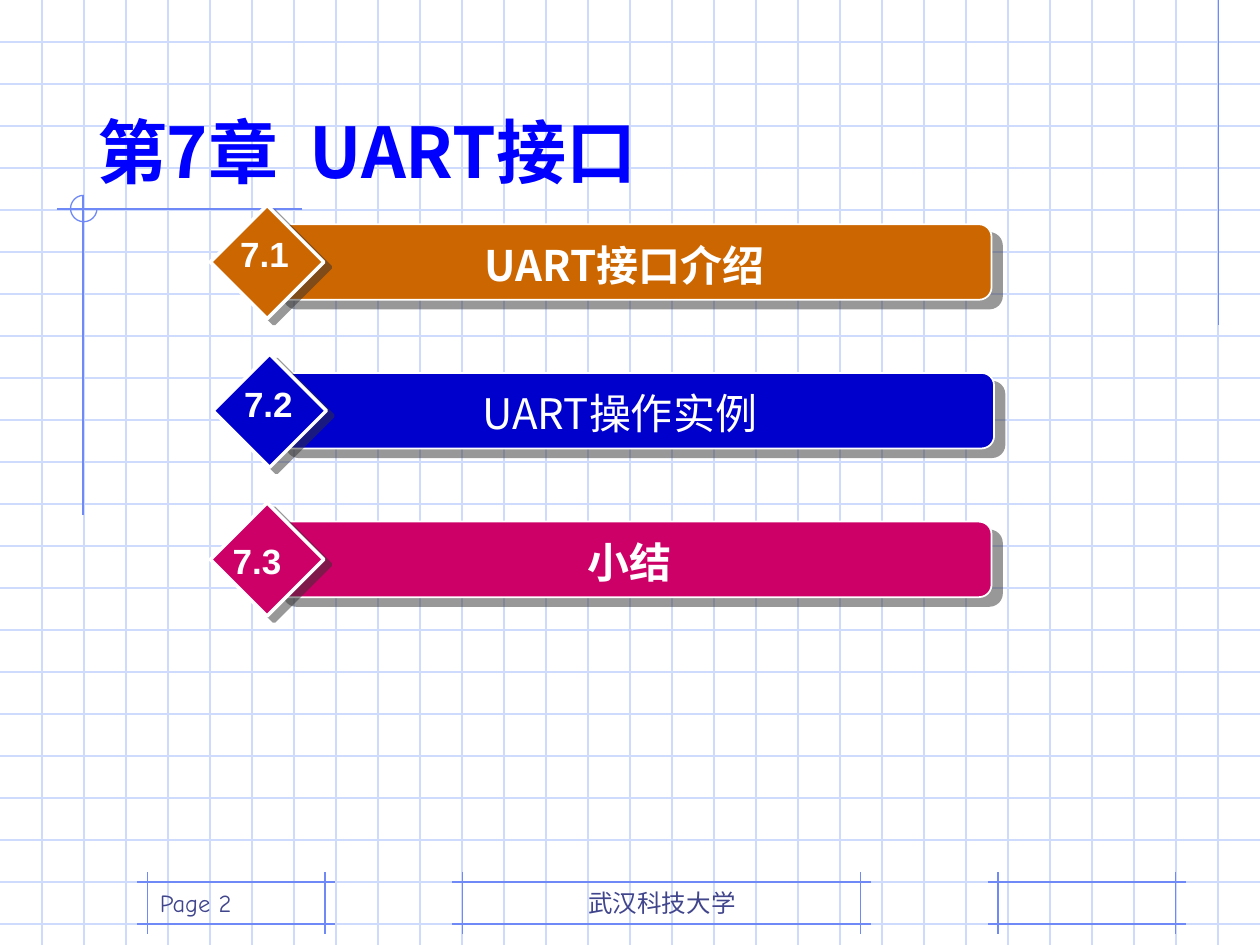
from lxml import etree
from pptx import Presentation
from pptx.dml.color import RGBColor
from pptx.enum.shapes import MSO_CONNECTOR, MSO_SHAPE
from pptx.enum.text import MSO_ANCHOR, MSO_AUTO_SIZE, PP_ALIGN
from pptx.oxml.ns import qn
from pptx.util import Emu, Inches, Pt

WHITE = RGBColor(0xFF, 0xFF, 0xFF)
GRID_BLUE = RGBColor(0xCF, 0xDB, 0xFD)
RULE_BLUE = RGBColor(0x6F, 0x89, 0xF7)
FOOTER_INK = RGBColor(0x40, 0x45, 0x8C)
TITLE_BLUE = RGBColor(0x00, 0x00, 0xFF)
ORANGE = RGBColor(0xCC, 0x66, 0x00)
NAVY = RGBColor(0x00, 0x00, 0xCC)
MAGENTA = RGBColor(0xCC, 0x00, 0x66)

CJK_FONT = "Noto Sans CJK JP"
WIDTH, HEIGHT = 10, 7.5
CELL = 1 / 3

# number, heading, bold, colour, bar left, bar top, heading left, number left and top
SECTIONS = [
    ("7.1", " UART接口介绍", True, ORANGE, 2.17, 1.78, 2.67, 1.81, 1.80),
    ("7.2", "UART操作实例", False, NAVY, 2.19, 2.96, 2.67, 1.84, 2.99),
    ("7.3", "小结", True, MAGENTA, 2.17, 4.14, 2.75, 1.75, 4.23),
]


def add_line(shapes, x1, y1, x2, y2, color):
    line = shapes.add_connector(MSO_CONNECTOR.STRAIGHT, Inches(x1), Inches(y1),
                                Inches(x2), Inches(y2))
    line.line.color.rgb = color
    line.line.width = Pt(0.75)
    etree.SubElement(line._element.spPr, qn("a:effectLst"))


def add_grid(shapes):
    for row in range(1, 23):
        add_line(shapes, 0, row * CELL, WIDTH, row * CELL, GRID_BLUE)
    for column in range(1, 30):
        add_line(shapes, column * CELL, 0, column * CELL, HEIGHT, GRID_BLUE)


def add_footer_frame(shapes, left, right):
    """Four rules that cross a little beyond the corners of a footer field."""
    top, bottom, overhang = 7, 7 + CELL, 0.08
    for y in (top, bottom):
        add_line(shapes, left - overhang, y, right + overhang, y, RULE_BLUE)
    for x in (left, right):
        add_line(shapes, x, top - overhang, x, bottom + overhang, RULE_BLUE)


def add_title_rules(shapes):
    add_line(shapes, 9.67, 0, 9.67, 2.58, RULE_BLUE)
    add_line(shapes, 2.4, 1.66, 0.45, 1.66, RULE_BLUE)
    add_line(shapes, 0.66, 1.55, 0.66, 4.09, RULE_BLUE)
    arc = shapes.add_shape(MSO_SHAPE.ARC, Inches(0.56), Inches(1.55),
                           Inches(0.21), Inches(0.21))
    arc.adjustments[0] = 0
    arc.adjustments[1] = 162  # 270 degrees
    arc.fill.background()
    arc.line.color.rgb = RULE_BLUE
    arc.line.width = Pt(0.75)
    arc.shadow.inherit = False


def write(shape, text, size, font, color, bold=False, align=PP_ALIGN.LEFT,
          anchor=MSO_ANCHOR.TOP, wrap=True):
    frame = shape.text_frame
    frame.word_wrap = wrap
    frame.auto_size = MSO_AUTO_SIZE.NONE
    frame.vertical_anchor = anchor
    paragraph = frame.paragraphs[0]
    paragraph.alignment = align
    run = paragraph.add_run()
    run.text = text
    run.font.size = Pt(size)
    run.font.name = font
    run.font.bold = bold
    run.font.color.rgb = color
    east_asian = etree.SubElement(run._r.rPr, qn("a:ea"))
    east_asian.set("typeface", CJK_FONT)


def add_text(shapes, left, top, width, height, *args, **kwargs):
    box = shapes.add_textbox(Inches(left), Inches(top), Inches(width), Inches(height))
    write(box, *args, **kwargs)


def add_block(shapes, kind, left, top, width, height, color, outline=0):
    block = shapes.add_shape(kind, Inches(left), Inches(top), Inches(width), Inches(height))
    block.fill.solid()
    block.fill.fore_color.rgb = color
    if outline:
        block.line.color.rgb = WHITE
        block.line.width = Pt(outline)
    else:
        block.line.fill.background()
    block.shadow.inherit = False
    return block


def cast_shadow(shape, distance, degrees):
    effects = shape._element.spPr.find(qn("a:effectLst"))
    shadow = etree.SubElement(effects, qn("a:outerShdw"), blurRad="0",
                              dist=str(Pt(distance)), dir=str(degrees * 60000),
                              algn="ctr", rotWithShape="0")
    color = etree.SubElement(shadow, qn("a:srgbClr"), val="333333")
    etree.SubElement(color, qn("a:alpha"), val="50000")


def add_section(slide, number, heading, bold, color, left, top,
                heading_left, number_left, number_top):
    shapes = slide.shapes.add_group_shape().shapes
    bar = add_block(shapes, MSO_SHAPE.ROUNDED_RECTANGLE, left, top, 5.7, 0.6, color, 1)
    cast_shadow(bar, 7.8, 40)
    diamond = add_block(shapes, MSO_SHAPE.DIAMOND, left - 0.5, top - 0.15,
                        0.9, 0.9, color, 2)
    cast_shadow(diamond, 5, 37)
    label = add_block(shapes, MSO_SHAPE.RECTANGLE, heading_left, top + 0.07,
                      4.5, 0.5, color)
    write(label, heading, 24, CJK_FONT, WHITE, bold, PP_ALIGN.CENTER)
    add_text(shapes, number_left, number_top, 0.58, 0.44, number, 20, "Arial",
             WHITE, True, PP_ALIGN.CENTER, wrap=False)


def place_title(slide):
    title = slide.shapes.title
    title.left, title.top = Inches(0.67), Inches(0.33)
    title.width, title.height = Inches(8.5), Inches(1.25)
    write(title, "第7章  UART接口", 40, CJK_FONT, TITLE_BLUE, True,
          anchor=MSO_ANCHOR.BOTTOM)
    # Bring the title in front of the grid
    title._element.getparent().append(title._element)


def main():
    deck = Presentation()
    deck.slide_width, deck.slide_height = Inches(WIDTH), Inches(HEIGHT)
    slide = deck.slides.add_slide(deck.slide_layouts[5])

    backdrop = slide.shapes.add_group_shape().shapes
    add_grid(backdrop)
    for left, right in ((3.67, 6.83), (7.92, 9.33), (1.17, 2.58)):
        add_footer_frame(backdrop, left, right)
    add_title_rules(backdrop)

    add_text(slide.shapes, 3.67, 7, 3.17, 0.33, "武汉科技大学", 14, "Comic Neue",
             FOOTER_INK, align=PP_ALIGN.CENTER, anchor=MSO_ANCHOR.BOTTOM)
    add_text(slide.shapes, 1.17, 7, 1.42, 0.33, "Page 2", 14, "Comic Neue",
             FOOTER_INK, anchor=MSO_ANCHOR.BOTTOM)
    place_title(slide)
    for section in SECTIONS:
        add_section(slide, *section)

    deck.save("out.pptx")


if __name__ == "__main__":
    main()
